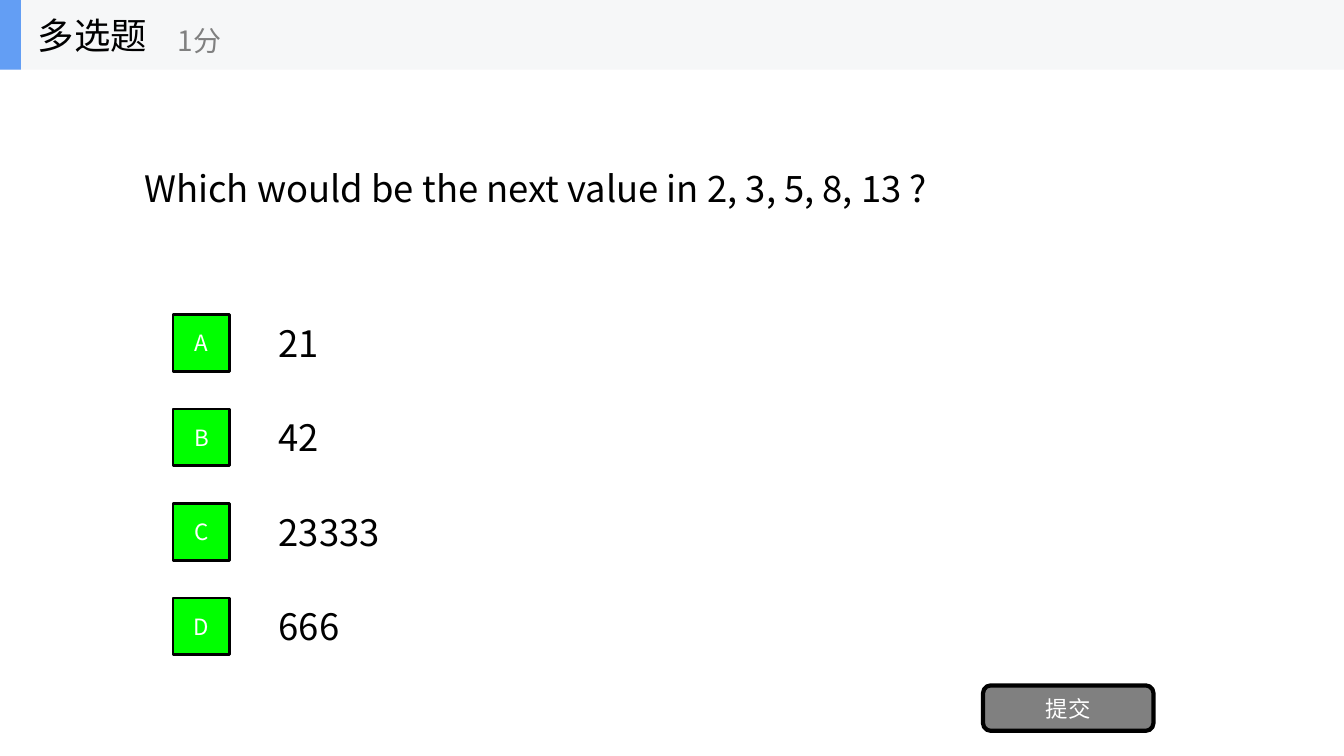
import pptx
import pptx.util
import pptx.dml.color
import pptx.enum.shapes
import pptx.enum.text
import pptx.oxml.ns
import lxml.etree

W, H = 13.33, 7.5
FONT = "Noto Sans CJK SC"
COLORS = {
    "bar": "F6F7F8", "accent": "639EF4", "text": "000000", "muted": "808080",
    "option": "00FF00", "light": "FFFFFF", "outline": "000000",
}
SHAPE = pptx.enum.shapes.MSO_SHAPE
ALIGN = pptx.enum.text.PP_ALIGN
ANCHOR = pptx.enum.text.MSO_ANCHOR


def rgb(name):
    return pptx.dml.color.RGBColor.from_string(COLORS[name])


def inches(box):
    return [pptx.util.Inches(v) for v in box]


def write(s, text, size, color, align=ALIGN.LEFT, wrap=True):
    tf = s.text_frame
    for key, value in {"word_wrap": wrap, "vertical_anchor": ANCHOR.MIDDLE}.items():
        setattr(tf, key, value)
    p = tf.paragraphs[0]
    p.alignment = align
    r = p.add_run()
    r.text = text
    for key, value in {"size": pptx.util.Pt(size), "name": FONT}.items():
        setattr(r.font, key, value)
    r.font.color.rgb = rgb(color)
    ea = lxml.etree.SubElement(r.font._element, pptx.oxml.ns.qn("a:ea"))
    ea.set("typeface", FONT)


def add_label(shapes, box, text, size=26, color="text", wrap=True):
    write(shapes.add_textbox(*inches(box)), text, size, color, wrap=wrap)


def add_block(shapes, box, fill, kind=SHAPE.RECTANGLE, line=0):
    s = shapes.add_shape(kind, *inches(box))
    s.shadow.inherit = False
    s.fill.solid()
    s.fill.fore_color.rgb = rgb(fill)
    if line:
        s.line.color.rgb = rgb("outline")
        s.line.width = pptx.util.Pt(line)
    else:
        s.line.fill.background()
    return s


def add_button(shapes, box, text, fill, kind, line):
    s = add_block(shapes, box, fill, kind, line)
    for side in ("left", "right", "top", "bottom"):
        setattr(s.text_frame, f"margin_{side}", 0)
    write(s, text, 16, "light", ALIGN.CENTER)


def add_header(shapes, box, title, score):
    x, y, w, h = box
    group = shapes.add_group_shape().shapes
    add_block(group, box, "bar")
    add_block(group, (x, y, 0.3 * h, h), "accent")
    add_label(group, (x + 0.4 * h, y, 3 * h, h), title, wrap=False)
    add_label(group, (x + w / 8, y + 0.18 * h, 3.6 * h, 0.8 * h), score, 20, "muted", False)


def add_options(shapes, box, answers):
    x, y, w, h = box
    pitch = h / len(answers)
    row, side = 0.75 * pitch, 0.6 * pitch
    for i, (letter, answer) in enumerate(answers.items()):
        top = y + i * pitch
        add_label(shapes, (x, top, w, row), answer)
        square = (x - 0.95, top + (row - side) / 2, side, side)
        add_button(shapes, square, letter, "option", SHAPE.RECTANGLE, 2)


def main():
    prs = pptx.Presentation()
    prs.slide_width, prs.slide_height = inches((W, H))
    shapes = prs.slides.add_slide(prs.slide_layouts[6]).shapes
    header = 0.69
    add_header(shapes, (0, 0, W, header), "多选题", "1分")
    add_label(shapes, (0.1 * W, header, 0.8 * W, 2.34),
              "Which would be the next value in 2, 3, 5, 8, 13 ?")
    add_options(shapes, (0.2 * W, 3.05, 0.7 * W, H / 2),
                {"A": "21", "B": "42", "C": "23333", "D": "666"})
    add_button(shapes, (9.75, 6.8, 1.69, 0.45), "提交", "muted",
               SHAPE.ROUNDED_RECTANGLE, 3)
    prs.save("out.pptx")


if __name__ == "__main__":
    main()
